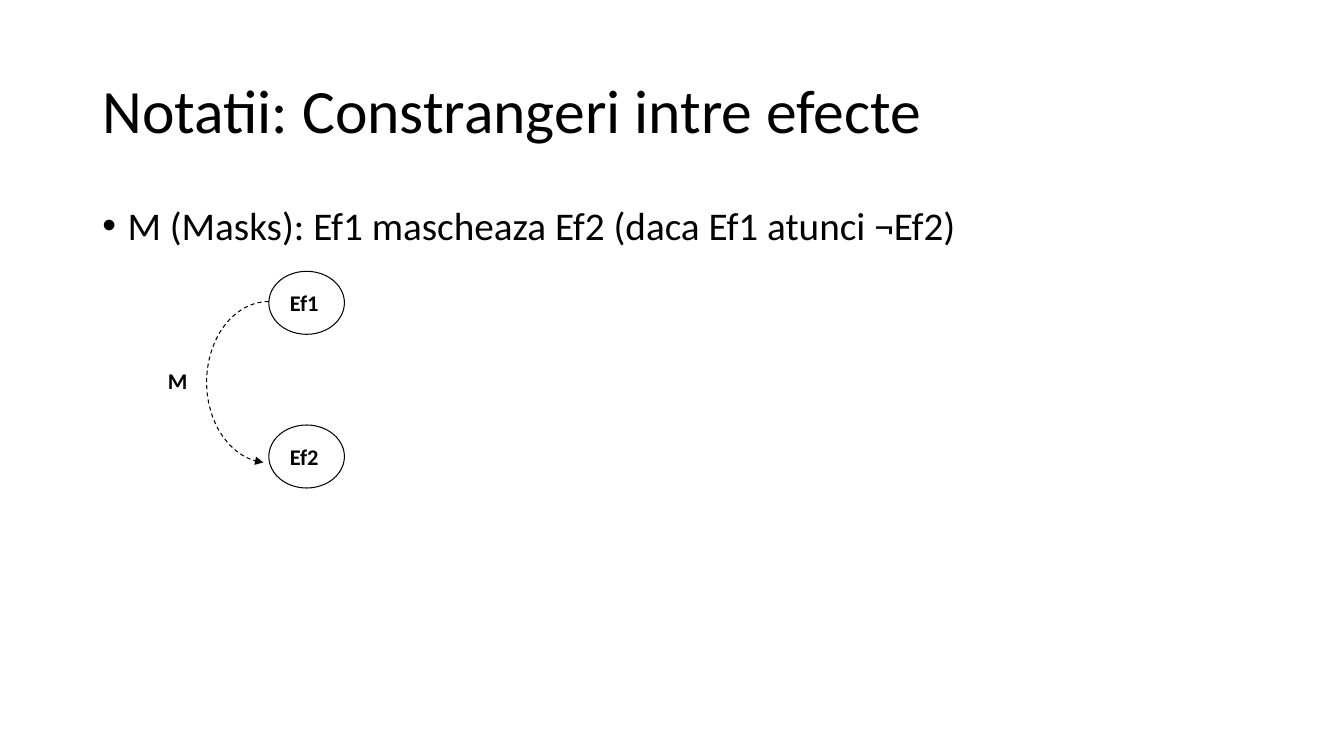
"""Slide on the masking constraint between two effects."""
from math import cos, radians, sin

from lxml import etree
from pptx import Presentation
from pptx import util as u
from pptx.dml.color import RGBColor
from pptx.enum import dml, shapes, text
from pptx.oxml.ns import qn

COLORS = {"ink": "000000", "paper": "FFFFFF"}
COLS, ROWS = 160, 90

prs = Presentation()
prs.slide_width, prs.slide_height = u.Inches(13.33), u.Inches(7.5)
col, row = prs.slide_width / COLS, prs.slide_height / ROWS
s = prs.slides.add_slide(prs.slide_layouts[6])


def box(x, y, w, h):
    return [round(v) for v in (x * col, y * row, w * col, h * row)]


def write(sp, words, anchor, size, bold, spacing):
    tf = sp.text_frame
    tf.word_wrap, tf.vertical_anchor = True, anchor
    p = tf.paragraphs[0]
    for name, value in {"alignment": text.PP_ALIGN.LEFT, **spacing}.items():
        setattr(p, name, value)
    r = p.add_run()
    r.text = words
    for name, value in {"name": "Calibri", "size": u.Pt(size), "bold": bold}.items():
        setattr(r.font, name, value)
    r.font.color.rgb = RGBColor.from_string(COLORS["ink"])
    return p


title = s.shapes.add_textbox(*box(11, 4.8, 138, 17.4))
write(title, "Notatii: Constrangeri intre efecte", text.MSO_ANCHOR.MIDDLE, 44, False,
      {"line_spacing": 0.9})

body = s.shapes.add_textbox(*box(11, 24, 138, 57.1))
p = write(body, "M (Masks): Ef1 mascheaza Ef2 (daca Ef1 atunci ¬Ef2)",
          text.MSO_ANCHOR.TOP, 28, False, {"line_spacing": 0.9, "space_before": u.Pt(10)})
pPr = p._p.get_or_add_pPr()
pPr.set("marL", str(u.Inches(0.25)))
pPr.set("indent", str(-u.Inches(0.25)))
etree.SubElement(pPr, qn("a:buFont"), typeface="Arial")
etree.SubElement(pPr, qn("a:buChar"), char="•")

OVAL, RECT = shapes.MSO_SHAPE.OVAL, shapes.MSO_SHAPE.RECTANGLE
for words, kind, place, line in [
    ("Ef1", OVAL, (32, 32.3, 9, 7.5), "ink"),
    ("Ef2", OVAL, (32, 50.6, 9, 7.5), "ink"),
    ("M", RECT, (18.8, 42.6, 7.3, 6.7), "paper"),
]:
    sp = s.shapes.add_shape(kind, *box(*place))
    sp.shadow.inherit = False
    sp.fill.solid()
    sp.fill.fore_color.rgb = RGBColor.from_string(COLORS["paper"])
    sp.line.color.rgb = RGBColor.from_string(COLORS[line])
    sp.line.width = u.Pt(0.75)
    write(sp, words, text.MSO_ANCHOR.TOP, 16, True,
          {"line_spacing": 1.15, "space_after": u.Pt(10)})

cx, cy, rx, ry = box(32, 45.5, 7.4, 9.6)
points = [(cx + rx * cos(radians(a)), cy + ry * sin(radians(a)))
          for a in range(270, 94, -5)]
outline = s.shapes.build_freeform(*points[0])
outline.add_line_segments(points[1:], close=False)
arc = outline.convert_to_shape()
arc.shadow.inherit = False
arc.fill.background()
arc.line.color.rgb = RGBColor.from_string(COLORS["ink"])
arc.line.width = u.Pt(0.75)
arc.line.dash_style = dml.MSO_LINE.DASH
etree.SubElement(arc.line._get_or_add_ln(), qn("a:tailEnd"), type="triangle")

prs.save("out.pptx")
